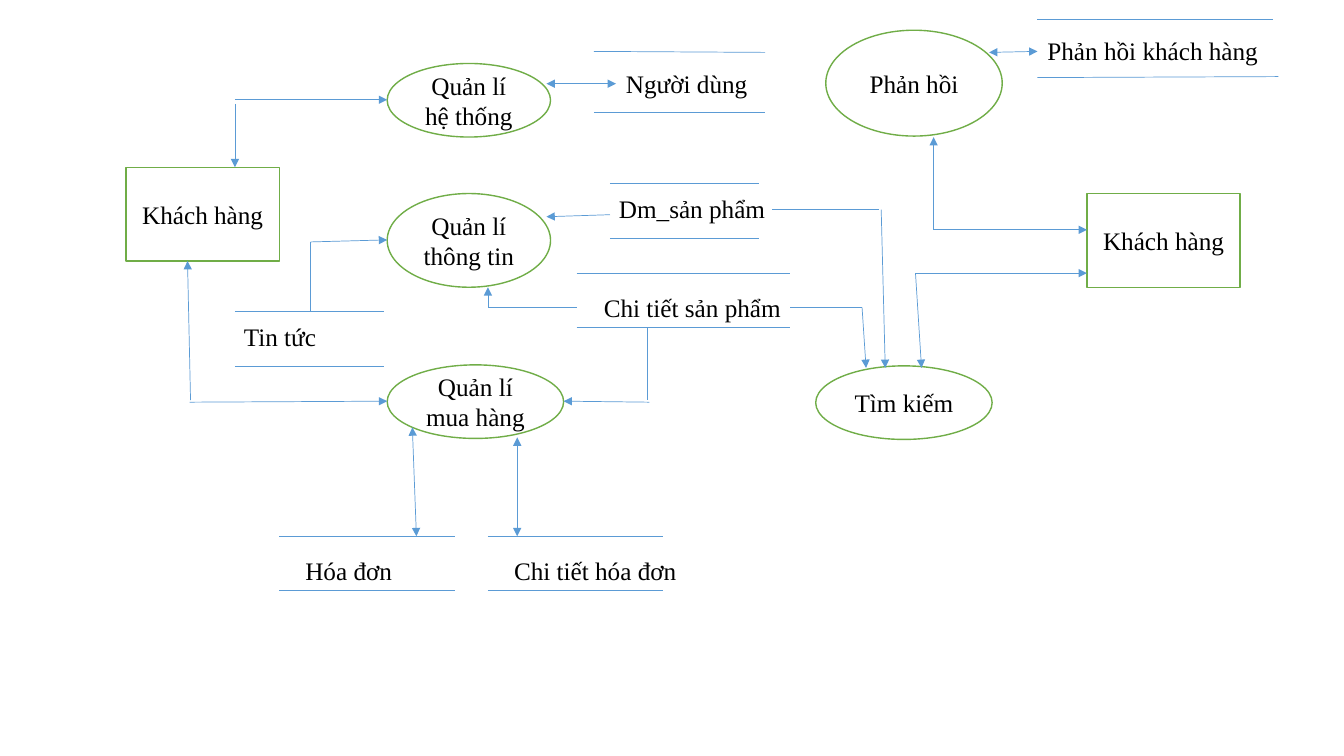
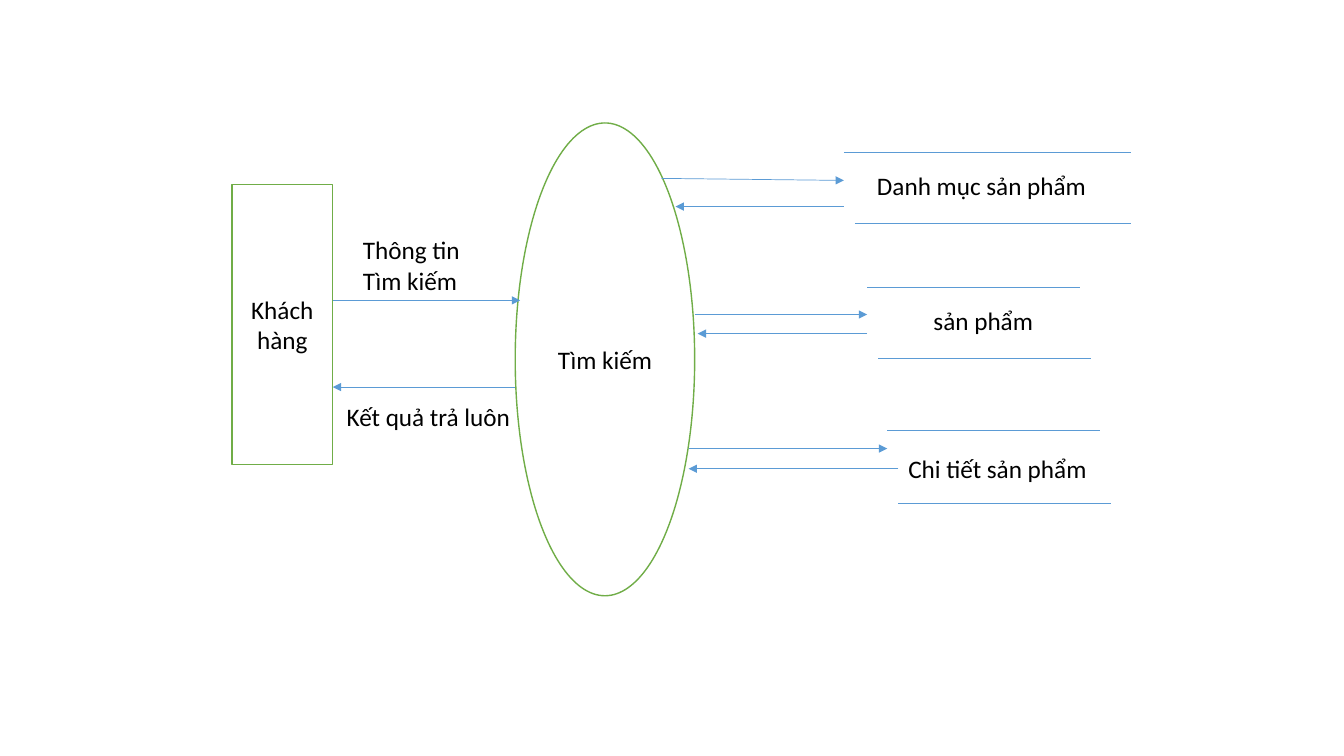
from lxml import etree
from pptx import Presentation
from pptx.dml.color import RGBColor
from pptx.enum import shapes, text
from pptx.oxml import ns
from pptx.util import Inches, Pt

GREEN, BLUE, WHITE, BLACK = "70AD47", "5B9BD5", "FFFFFF", "000000"
RECT = shapes.MSO_SHAPE.RECTANGLE
OVAL = shapes.MSO_SHAPE.OVAL


def add_text(page, words, at, *, font, shape=None, wrap=True, size=18, color=BLACK):
    """Put words in an outlined shape, or in a plain text box if shape is None."""
    place = [Inches(value) for value in at]
    if shape is None:
        box = page.shapes.add_textbox(*place)
    else:
        box = page.shapes.add_shape(shape, *place)
        box.shadow.inherit = False
        box.fill.solid()
        box.fill.fore_color.rgb = RGBColor.from_string(WHITE)
        box.line.color.rgb = RGBColor.from_string(GREEN)
        box.line.width = Pt(1)
    frame = box.text_frame
    frame.text = words
    frame.word_wrap = wrap
    if shape is None:
        frame.auto_size = text.MSO_AUTO_SIZE.SHAPE_TO_FIT_TEXT
    else:
        frame.vertical_anchor = text.MSO_ANCHOR.MIDDLE
    for para in frame.paragraphs:
        para.alignment = text.PP_ALIGN.LEFT if shape is None else text.PP_ALIGN.CENTER
        for span in para.runs:
            span.font.name = font
            span.font.size = Pt(size)
            span.font.color.rgb = RGBColor.from_string(color)


def add_line(page, x1, y1, x2, y2, ends=()):
    """Draw a thin line; ends lists the arrowheads, "head" at the start, "tail" at the end."""
    line = page.shapes.add_connector(
        shapes.MSO_CONNECTOR.STRAIGHT, Inches(x1), Inches(y1), Inches(x2), Inches(y2))
    line.line.color.rgb = RGBColor.from_string(BLUE)
    line.line.width = Pt(0.5)
    properties = line.element.spPr
    outline = properties.find(ns.qn("a:ln"))
    for end in ends:
        etree.SubElement(outline, ns.qn(f"a:{end}End"), type="triangle")
    etree.SubElement(properties, ns.qn("a:effectLst"))


PLAIN, ARROW, DOUBLE = (), ("tail",), ("head", "tail")

# Overview diagram: processes, data stores and flows
overview = {
    "font": "Times New Roman",
    "nodes": [
        ("Khách hàng", RECT, (1.25, 1.66, 1.52, 0.93)),
        ("Khách hàng", RECT, (10.78, 1.92, 1.52, 0.93)),
        ("Quản lí hệ thống", OVAL, (3.84, 0.63, 1.62, 0.73)),
        ("Quản lí thông tin", OVAL, (3.84, 1.92, 1.62, 0.93)),
        ("Quản lí mua hàng", OVAL, (3.84, 3.62, 1.75, 0.73)),
        ("Phản hồi", OVAL, (8.19, 0.3, 1.75, 1.05)),
        ("Tìm kiếm", OVAL, (8.09, 3.63, 1.75, 0.73)),
    ],
    # label, its place, wrap, upper rule, lower rule
    "stores": [
        ("Người dùng", (6.11, 0.63, 1.42, 0.4), False,
         (5.89, 0.51, 7.59, 0.52), (5.89, 1.11, 7.59, 1.11)),
        ("Chi tiết sản phẩm", (5.89, 2.85, 2.2, 0.4), True,
         (5.72, 2.71, 7.84, 2.71), (5.72, 3.25, 7.84, 3.25)),
        ("Dm_sản phẩm", (6.04, 1.87, 1.8, 0.4), True,
         (6.05, 1.82, 7.53, 1.82), (6.05, 2.36, 7.53, 2.36)),
        ("Tin tức", (2.32, 3.14, 1.8, 0.4), True,
         (2.33, 3.09, 3.81, 3.09), (2.33, 3.63, 3.81, 3.63)),
        ("Hóa đơn", (2.93, 5.46, 2.2, 0.4), True,
         (2.77, 5.32, 4.51, 5.32), (2.77, 5.86, 4.51, 5.86)),
        ("Chi tiết hóa đơn", (5, 5.46, 2.2, 0.4), True,
         (4.84, 5.32, 6.58, 5.32), (4.84, 5.86, 6.58, 5.86)),
        ("Phản hồi khách hàng", (10.29, 0.3, 2.33, 0.4), False,
         (10.29, 0.19, 12.63, 0.19), (10.29, 0.77, 12.68, 0.76)),
    ],
    "labels": [],
    "flows": [
        # Customer to system and purchase management
        (2.33, 0.99, 3.84, 0.99, ARROW),
        (2.33, 1.03, 2.33, 1.66, ARROW),
        (1.88, 3.99, 3.84, 3.98, ARROW),
        (1.89, 3.97, 1.86, 2.59, ARROW),
        # Stores to the management processes
        (5.42, 0.83, 6.11, 0.83, DOUBLE),
        (3.08, 2.4, 3.84, 2.38, ARROW),
        (3.08, 2.4, 3.08, 3.09, PLAIN),
        (6.05, 2.13, 5.42, 2.15, ARROW),
        (5.72, 3.05, 4.84, 3.05, PLAIN),
        (4.84, 3.05, 4.84, 2.85, ARROW),
        (6.42, 3.25, 6.42, 3.97, PLAIN),
        (6.44, 3.99, 5.59, 3.98, ARROW),
        (4.09, 4.24, 4.13, 5.32, DOUBLE),
        (5.13, 4.34, 5.13, 5.32, DOUBLE),
        # Feedback
        (9.26, 2.28, 10.78, 2.28, ARROW),
        (9.26, 2.28, 9.26, 1.36, ARROW),
        (9.81, 0.52, 10.29, 0.51, DOUBLE),
        # Search
        (9.08, 2.71, 10.78, 2.71, ARROW),
        (9.08, 2.71, 9.14, 3.65, ARROW),
        (7.84, 3.05, 8.55, 3.05, PLAIN),
        (8.55, 3.05, 8.59, 3.65, ARROW),
        (7.66, 2.08, 8.72, 2.08, PLAIN),
        (8.74, 2.08, 8.78, 3.65, ARROW),
    ],
}

# Search diagram: one process between the customer and three stores
search = {
    "font": "Calibri",
    "nodes": [
        ("Khách hàng", RECT, (2.3, 1.83, 1, 2.78)),
        ("Tìm kiếm", OVAL, (5.11, 1.22, 1.78, 4.69)),
    ],
    "stores": [
        ("Danh mục sản phẩm", (8.6, 1.64, 2.3, 0.4), False,
         (8.37, 1.51, 11.22, 1.51), (8.48, 2.22, 11.22, 2.22)),
        ("sản phẩm", (9.16, 2.98, 1.2, 0.4), False,
         (8.6, 2.85, 10.71, 2.85), (8.71, 3.56, 10.82, 3.56)),
        ("Chi tiết sản phẩm", (8.91, 4.45, 1.99, 0.4), False,
         (8.8, 4.27, 10.91, 4.27), (8.91, 4.99, 11.02, 4.99)),
    ],
    "labels": [
        ("Thông tin\nTìm kiếm", (3.5, 2.28, 1.18, 0.71)),
        ("Kết quả trả luôn", (3.34, 3.93, 1.84, 0.4)),
    ],
    "flows": [
        # Customer request and result
        (3.3, 2.98, 5.16, 2.98, ARROW),
        (5.11, 3.84, 3.3, 3.84, ARROW),
        # Query and answer for each store
        (6.56, 1.77, 8.37, 1.79, ARROW),
        (8.37, 2.05, 6.7, 2.05, ARROW),
        (6.89, 3.12, 8.6, 3.12, ARROW),
        (8.6, 3.31, 6.92, 3.31, ARROW),
        (6.83, 4.45, 8.8, 4.45, ARROW),
        (8.91, 4.65, 6.83, 4.65, ARROW),
    ],
}

# Build one page for each diagram
deck = Presentation()
deck.slide_width, deck.slide_height = Inches(13.33), Inches(7.5)
blank = deck.slide_layouts[6]

for diagram in (overview, search):
    page = deck.slides.add_slide(blank)
    font = diagram["font"]
    for words, shape, at in diagram["nodes"]:
        add_text(page, words, at, font=font, shape=shape)
    for words, at, wrap, *rules in diagram["stores"]:
        for rule in rules:
            add_line(page, *rule)
        add_text(page, words, at, font=font, wrap=wrap)
    for words, at in diagram["labels"]:
        add_text(page, words, at, font=font, wrap=False)
    for flow in diagram["flows"]:
        add_line(page, *flow)

deck.save("out.pptx")
